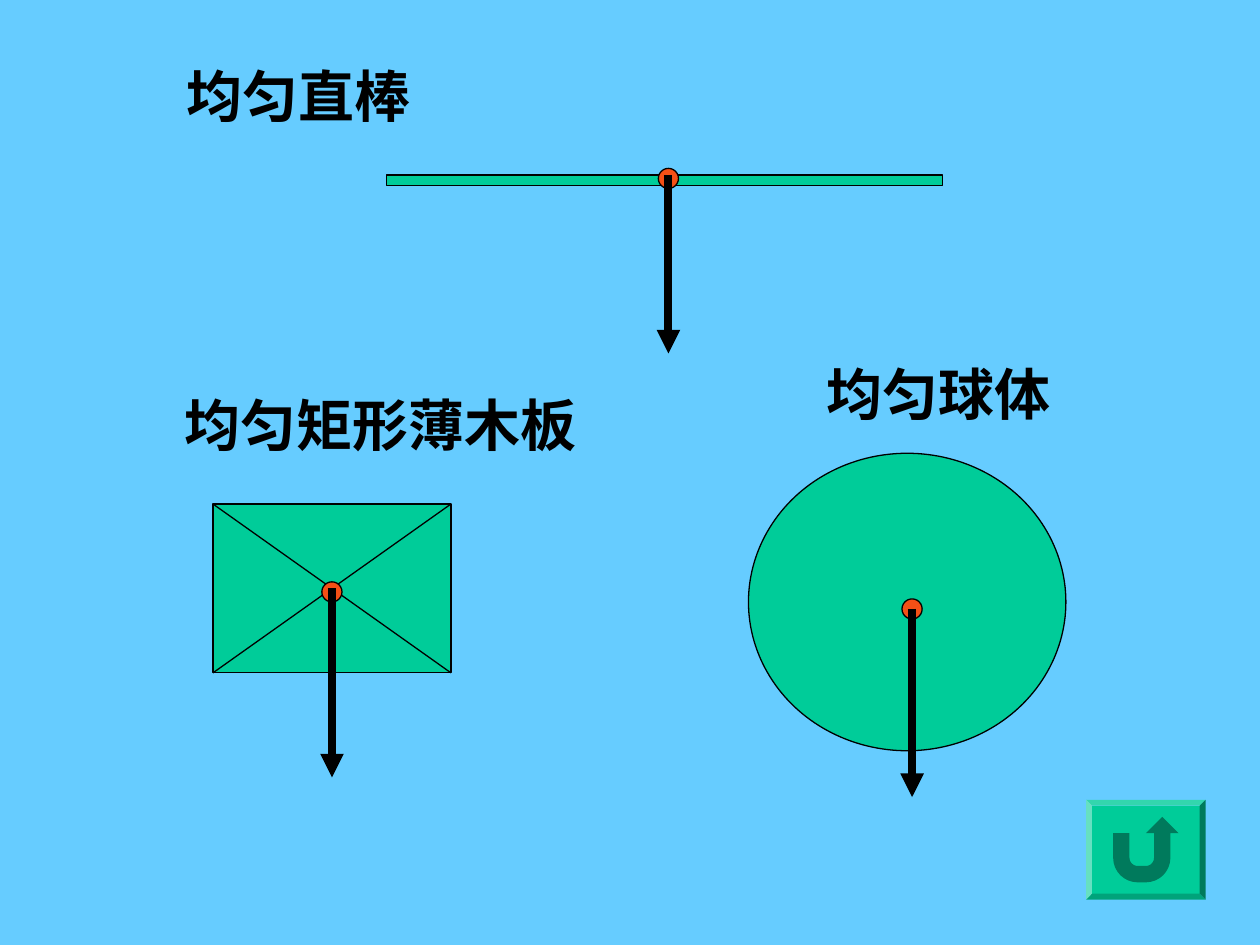
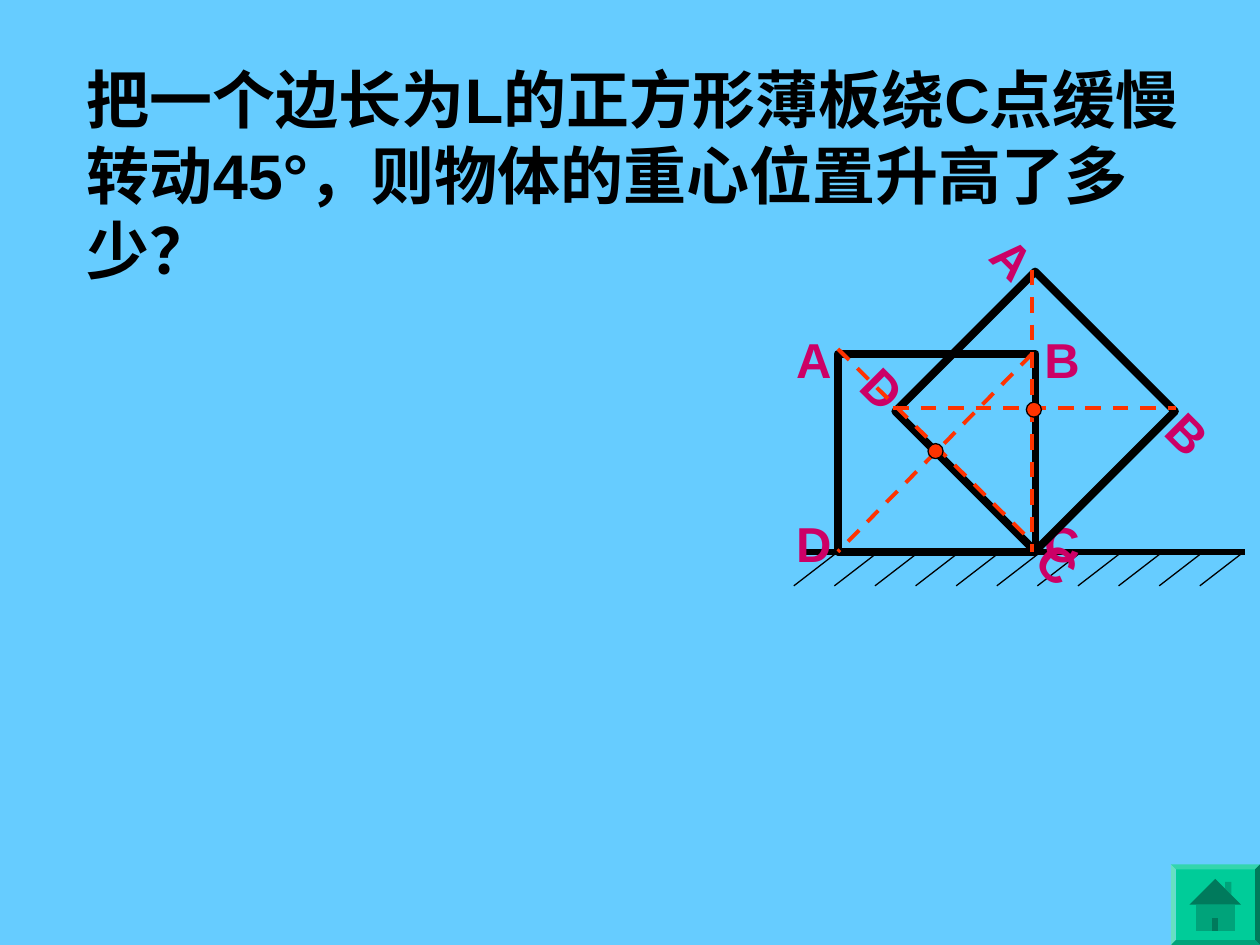
from math import cos, radians, sin

from lxml import etree
from pptx import Presentation
from pptx.dml.color import RGBColor
from pptx.enum.dml import MSO_LINE
from pptx.enum.shapes import MSO_CONNECTOR, MSO_SHAPE
from pptx.oxml.ns import qn
from pptx.util import Pt

RECT, OVAL, BEVEL = MSO_SHAPE.RECTANGLE, MSO_SHAPE.OVAL, MSO_SHAPE.BEVEL
STRAIGHT, DASH = MSO_CONNECTOR.STRAIGHT, MSO_LINE.DASH

COLORS = {
    "sky": "66CCFF",
    "ink": "000000",
    "body": "00CC99",
    "icon": "007A5C",
    "icon_light": "00A37A",
    "center": "F45016",
    "diagonal": "FF3300",
    "corner": "CC0066",
}


def rgb(name):
    return RGBColor.from_string(COLORS[name])


# Shared parts
def add_slide(prs):
    slide = prs.slides.add_slide(prs.slide_layouts[6])
    slide.background.fill.solid()
    slide.background.fill.fore_color.rgb = rgb("sky")
    return slide


def paint(sp, fill, width):
    sp.shadow.inherit = False
    if fill:
        sp.fill.solid()
        sp.fill.fore_color.rgb = rgb(fill)
    else:
        sp.fill.background()
    if width:
        sp.line.color.rgb = rgb("ink")
        sp.line.width = Pt(width)
    else:
        sp.line.fill.background()


def add_shape(slide, kind, box, fill="body", width=0.75):
    sp = slide.shapes.add_shape(kind, *map(Pt, box))
    paint(sp, fill, width)
    return sp


def add_dot(slide, x, y, size, fill):
    add_shape(slide, OVAL, (x - size / 2, y - size / 2, size, size), fill)


def add_line(shapes, x1, y1, x2, y2, width=0.75, color="ink", arrow=False):
    line = shapes.add_connector(STRAIGHT, Pt(x1), Pt(y1), Pt(x2), Pt(y2))
    line.line.color.rgb = rgb(color)
    line.line.width = Pt(width)
    if arrow:
        ln = line.line._get_or_add_ln()
        etree.SubElement(ln, qn("a:tailEnd"), type="triangle")
    etree.SubElement(line._element.spPr, qn("a:effectLst"))
    return line


def add_text(slide, box, text, size, font, color="ink", rotation=0):
    tb = slide.shapes.add_textbox(*map(Pt, box))
    tb.rotation = rotation
    tf = tb.text_frame
    tf.word_wrap = True
    tf.text = text
    r = tf.paragraphs[0].runs[0]
    r.font.size, r.font.bold, r.font.name = Pt(size), True, font
    r.font.color.rgb = rgb(color)


# Buttons: the icons are drawn on a grid from -1 to 1 around the centre
def arc(x, y, radius, start, end, steps=8):
    angles = [radians(start + (end - start) * i / steps) for i in range(steps + 1)]
    return [(x + radius * cos(a), y + radius * sin(a)) for a in angles]


RETURN_ICON = [("icon", [
    (-1, -.5), (-.5, -.5), *arc(-.25, .25, .25, 180, 90), *arc(0, .25, .25, 90, 0),
    (.25, -.5), (0, -.5), (.5, -1), (1, -.5), (.75, -.5),
    *arc(0, .25, .75, 0, 90), *arc(-.25, .25, .75, 90, 180)])]

HOME_ICON = [
    ("icon_light", [(.38, -.62), (.38, -.88), (.62, -.88), (.62, -.38)]),
    ("icon_light", [(-.75, 0), (.75, 0), (.75, 1), (-.75, 1)]),
    ("icon", [(0, -1), (1, 0), (-1, 0)]),
    ("icon", [(-.12, .5), (.12, .5), (.12, 1), (-.12, 1)]),
]


def add_button(slide, box, icon, half):
    sp = add_shape(slide, BEVEL, box, width=0)
    sp.adjustments[0] = 0.06
    x, y, w, h = box
    for color, outline in icon:
        points = [(Pt(x + w / 2 + half * px), Pt(y + h / 2 + half * py))
                  for px, py in outline]
        builder = slide.shapes.build_freeform(*points[0])
        builder.add_line_segments(points[1:])
        paint(builder.convert_to_shape(), color, 0)


# Slide 1: centres of gravity of uniform bodies
def add_weight(slide, x, y, start, length):
    add_dot(slide, x, y, 11.5, "center")
    add_line(slide.shapes, x, y + start, x, y + start + length, 4.5, arrow=True)


def add_rod(slide, box):
    x, y, w, h = box
    add_shape(slide, RECT, box)
    add_weight(slide, x + w / 2 + 2.2, y + 2, -2, 102)


def add_board(slide, box):
    x, y, w, h = box
    add_shape(slide, RECT, box)
    add_line(slide.shapes, x, y, x + w, y + h)
    add_line(slide.shapes, x, y + h, x + w, y)
    add_weight(slide, x + w / 2, y + h / 2 + 2, -2, 108)


def add_ball(slide, box):
    x, y, w, h = box
    add_shape(slide, OVAL, box)
    add_weight(slide, x + w / 2 + 2.8, y + h / 2 + 4, 0, 107.5)


def bodies_slide(prs):
    slide = add_slide(prs)
    add_rod(slide, (221, 100, 317.5, 6))
    add_board(slide, (121.7, 288, 136, 96.5))
    add_ball(slide, (427.7, 259, 181.4, 170))
    for x, y, w, name in ((99.4, 31.7, 206.6, "均匀直棒"),
                          (98.6, 219.6, 273.6, "均匀矩形薄木板"),
                          (465, 201.6, 159, "均匀球体")):
        add_text(slide, (x, y, w, 46), name, 32, "Times New Roman")
    add_button(slide, (620.6, 457, 68.4, 57), RETURN_ICON, 18.7)


# Slide 2: square plate turned about corner C
def add_ground(slide, box, count=11):
    x, y, w, h = box
    group = slide.shapes.add_group_shape()
    step = 23.2
    for i in range(count):
        left = x + i * step
        add_line(group.shapes, left + step, y + 1.5, left, y + h)
    add_line(group.shapes, x + 4.3, y, x + w, y, 3)


def add_plate(slide, box, rotation, corners):
    x, y, w, h = box
    add_shape(slide, RECT, box, None, 4.5).rotation = rotation
    widths = (51, 51, 36.7, 42.5)
    for letter, width, (dx, dy) in zip("ABCD", widths, corners):
        add_text(slide, (x + dx, y + dy, width, 41), letter, 28, "Arial",
                 "corner", rotation)


def add_diagonals(slide, box, diagonals):
    x, y, w, h = box
    for x1, y1, x2, y2 in diagonals:
        line = add_line(slide.shapes, x + x1, y + y1, x + x2, y + y2, 2.25, "diagonal")
        line.line.dash_style = DASH


def plate_slide(prs):
    slide = add_slide(prs)
    side = 113
    flat, turned = (478.8, 202.3, side, side), (535, 178.6, side, side)
    add_ground(slide, (453.6, 315.4, 257.8, 19.4))
    add_plate(slide, flat, 0, ((-31, -17.3), (110.9, -17.3), (110.9, 87.8), (-31, 87.8)))
    add_plate(slide, turned, 45,
              ((24.5, -45.4), (124.6, 54.7), (52.6, 123.8), (-48.2, 25.9)))
    add_diagonals(slide, flat, ((0, -2.9, 110.9, 107.3), (110.9, 0, 0, side)))
    add_diagonals(slide, turned,
                  ((-24.5, 54.7, 136.8, 54.7), (54.7, -24.5, 54.7, 136.8)))
    for x, y, w, h in (flat, turned):
        add_dot(slide, x + w / 2 - 0.7, y + h / 2 - 1, 8.6, "diagonal")
    add_text(slide, (42.5, 31, 641, 137),
             "把一个边长为L的正方形薄板绕C点缓慢转动45°，则物体的重心位置升高了多少？",
             36, "Arial")
    add_button(slide, (669, 494, 51, 46), HOME_ICON, 14.8)


def main():
    prs = Presentation()
    prs.slide_width, prs.slide_height = Pt(720), Pt(540)
    bodies_slide(prs)
    plate_slide(prs)
    prs.save("out.pptx")


if __name__ == "__main__":
    main()
